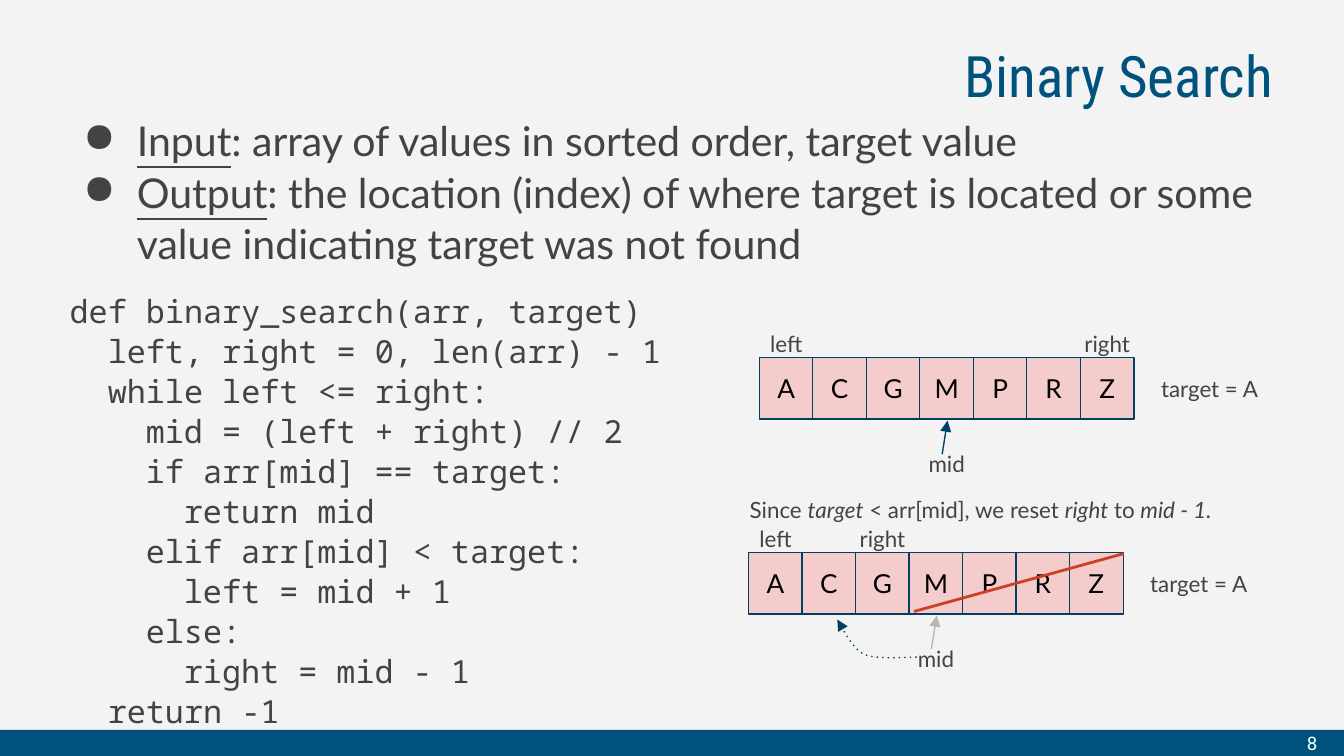
from lxml import etree
from pptx import Presentation
from pptx import util as u
from pptx.dml.color import RGBColor
from pptx.enum import shapes, text
from pptx.oxml.ns import qn

BLUE = RGBColor(0x00, 0x51, 0x7C)
NAVY = RGBColor(0x00, 0x40, 0x65)
PAPER = RGBColor(0xF3, 0xF3, 0xF3)
INK = RGBColor(0x43, 0x43, 0x43)
BLACK = RGBColor(0, 0, 0)
WHITE = RGBColor(0xFF, 0xFF, 0xFF)
PINK = RGBColor(0xF4, 0xCC, 0xCC)
GREY = RGBColor(0xB7, 0xB7, 0xB7)
RED = RGBColor(0xCC, 0x41, 0x25)

LEFT, CENTER, RIGHT = text.PP_ALIGN.LEFT, text.PP_ALIGN.CENTER, text.PP_ALIGN.RIGHT
TOP, MIDDLE, BOTTOM = (text.MSO_ANCHOR.TOP, text.MSO_ANCHOR.MIDDLE,
                       text.MSO_ANCHOR.BOTTOM)

LABEL = {"name": "Lato", "size": u.Pt(12), "color": INK}
LETTER = {"name": "Lato", "size": u.Pt(14), "color": BLACK}
BULLET = {"name": "Lato", "size": u.Pt(22), "color": INK}
CODE = {"name": "Noto Sans Mono", "size": u.Pt(17), "color": INK}
TITLE = {"name": "Roboto Condensed", "size": u.Pt(30.6), "color": BLUE}
NUMBER = {"name": "Roboto", "size": u.Pt(10), "color": WHITE}

COLUMNS, ROWS = 100, 56.25
CELL_STEP, CELL_WIDTH, CELL_HEIGHT = 3.98, 4, 4.6
LETTERS = "ACGMPRZ"

BULLETS = [
    ("Input", ": array of values in sorted order, target value"),
    ("Output", ": the location (index) of where target is located or some "
               "value indicating target was not found"),
]
CODE_LINES = [
    (0, "def binary_search(arr, target)"),
    (1, "left, right = 0, len(arr) - 1"),
    (1, "while left <= right:"),
    (2, "mid = (left + right) // 2"),
    (2, "if arr[mid] == target:"),
    (3, "return mid"),
    (2, "elif arr[mid] < target:"),
    (3, "left = mid + 1"),
    (2, "else:"),
    (3, "right = mid - 1"),
    (1, "return -1"),
]


def bezier(start, first, second, end, steps=12):
    """Points along a cubic curve, without its start."""
    for step in range(1, steps + 1):
        t = step / steps
        weights = ((1 - t) ** 3, 3 * t * (1 - t) ** 2, 3 * t * t * (1 - t), t ** 3)
        corners = zip(weights, (start, first, second, end))
        weighted = [(w * x, w * y) for w, (x, y) in corners]
        yield tuple(sum(axis) for axis in zip(*weighted))


class Board:
    """Draws on one slide; lengths are in columns and rows of its grid."""

    def __init__(self, deck):
        self.column = deck.slide_width / COLUMNS
        self.row = deck.slide_height / ROWS
        self.slide = deck.slides.add_slide(deck.slide_layouts[6])
        self.shapes = self.slide.shapes
        self.slide.background.fill.solid()
        self.slide.background.fill.fore_color.rgb = PAPER

    def place(self, *lengths):
        """Turn alternating column and row lengths into EMU."""
        units = (self.column, self.row)
        return [u.Emu(round(n * units[i % 2])) for i, n in enumerate(lengths)]

    def add_span(self, para, content, style, **changes):
        span = para.add_run()
        span.text = content
        for key, value in {**style, **changes}.items():
            if key == "color":
                span.font.color.rgb = value
            else:
                setattr(span.font, key, value)

    def frame(self, box, inset, anchor):
        margin = u.Inches(inset)
        values = {"word_wrap": True, "vertical_anchor": anchor}
        for side in ("left", "top", "right", "bottom"):
            values[f"margin_{side}"] = margin
        for key, value in values.items():
            setattr(box.text_frame, key, value)
        return box.text_frame

    def text(self, at, content="", style=LABEL, align=LEFT, anchor=TOP, inset=0.1):
        box = self.shapes.add_textbox(*self.place(*at))
        frame = self.frame(box, inset, anchor)
        frame.paragraphs[0].alignment = align
        if content:
            self.add_span(frame.paragraphs[0], content, style)
        return frame

    def rect(self, at, fill, outline=None, letter=""):
        box = self.shapes.add_shape(shapes.MSO_SHAPE.RECTANGLE, *self.place(*at))
        box.shadow.inherit = False
        box.fill.solid()
        box.fill.fore_color.rgb = fill
        if outline is None:
            box.line.fill.background()
        else:
            self.stroke(box, outline)
        if letter:
            para = self.frame(box, 0.1, MIDDLE).paragraphs[0]
            para.alignment = CENTER
            self.add_span(para, letter, LETTER)

    def stroke(self, item, color, width=0.75, dash=None, arrow=False):
        item.line.color.rgb = color
        item.line.width = u.Pt(width)
        line = item._element.spPr.find(qn("a:ln"))
        if dash:
            etree.SubElement(line, qn("a:prstDash"), val=dash)
        if arrow:
            etree.SubElement(line, qn("a:tailEnd"), type="triangle")

    def line(self, start, end, color, **options):
        link = self.shapes.add_connector(shapes.MSO_CONNECTOR.STRAIGHT,
                                         *self.place(*start, *end))
        self.stroke(link, color, **options)
        etree.SubElement(link._element.spPr, qn("a:effectLst"))

    def curve(self, start, segments, color, **options):
        points = [start]
        for segment in segments:
            points.extend(bezier(points[-1], *segment))
        first, *others = [self.place(*point) for point in points]
        builder = self.shapes.build_freeform(*first)
        builder.add_line_segments(others, close=False)
        outline = builder.convert_to_shape()
        outline.shadow.inherit = False
        outline.fill.background()
        self.stroke(outline, color, **options)

    def body(self, at):
        frame = self.text(at)
        paras = [frame.paragraphs[0]]
        paras += [frame.add_paragraph() for _ in BULLETS[1:] + CODE_LINES]
        for para in paras:
            para.line_spacing = 1.05
        for para, (term, meaning) in zip(paras, BULLETS):
            self.add_span(para, term, BULLET, underline=True)
            self.add_span(para, meaning, BULLET)
            props = para._p.get_or_add_pPr()
            props.set("marL", str(u.Inches(0.5)))
            props.set("indent", str(u.Inches(-0.4)))
            etree.SubElement(props, qn("a:buChar"), char="●")
        code = paras[len(BULLETS):]
        code[0].space_before = u.Pt(12)
        for para, (depth, content) in zip(code, CODE_LINES):
            self.add_span(para, content, CODE)
            # One level is two monospaced characters wide.
            para._p.get_or_add_pPr().set("marL", str(u.Pt(20.4 * depth)))

    def array(self, x, y, right_index, pointer):
        """Array with its left, right and mid marks; x, y is its corner."""
        for i, letter in enumerate(LETTERS):
            self.rect((x + i * CELL_STEP, y, CELL_WIDTH, CELL_HEIGHT),
                      PINK, NAVY, letter)
        self.text((x + 28.9, y + 0.3, 14.5, 4), "target = A")
        for word, index, drop in (("left", 0, -2), ("right", right_index, -2),
                                  ("mid", 3, 6.9)):
            middle = x + index * CELL_STEP + CELL_WIDTH / 2
            self.text((middle - 3.7, y + drop, 7.4, 2), word,
                      align=CENTER, inset=0)
        self.line((x + 13.6, y + 7.2), (x + 14, y + 4.7), pointer, arrow=True)


def main():
    deck = Presentation()
    deck.slide_width, deck.slide_height = u.Inches(10), u.Inches(5.625)
    board = Board(deck)
    board.rect((0, 54.3, COLUMNS, ROWS - 54.3), BLUE)
    board.text((4.2, 1.6, 91.5, 7.5), "Binary Search", TITLE, RIGHT, BOTTOM)
    board.body((4.2, 7.4, 91.5, 48.6))
    number = board.text((86.5, 54.1, 12.5, 2.4), "8", NUMBER, RIGHT, MIDDLE, 0)
    number.margin_right = u.Inches(0.1)

    board.array(56.5, 26.6, right_index=6, pointer=NAVY)
    note = board.text((54.8, 35.9, 36.6, 4)).paragraphs[0]
    phrases = ("Since ", "target", " < arr[mid], we reset ", "right", " to ", "mid - 1.")
    for i, phrase in enumerate(phrases):
        board.add_span(note, phrase, LABEL, italic=i % 2 == 1)
    board.array(55.7, 41.1, right_index=2, pointer=GREY)
    board.curve((68.2, 48.9), [((67.5, 48.9), (65.3, 49.1), (64.3, 48.7)),
                               ((63.3, 48.2), (62.6, 46.5), (62.3, 46.1))],
                NAVY, dash="dot", arrow=True)
    board.line((68, 45.5), (83.6, 41.2), RED, width=1.5)
    deck.save("out.pptx")


if __name__ == "__main__":
    main()
